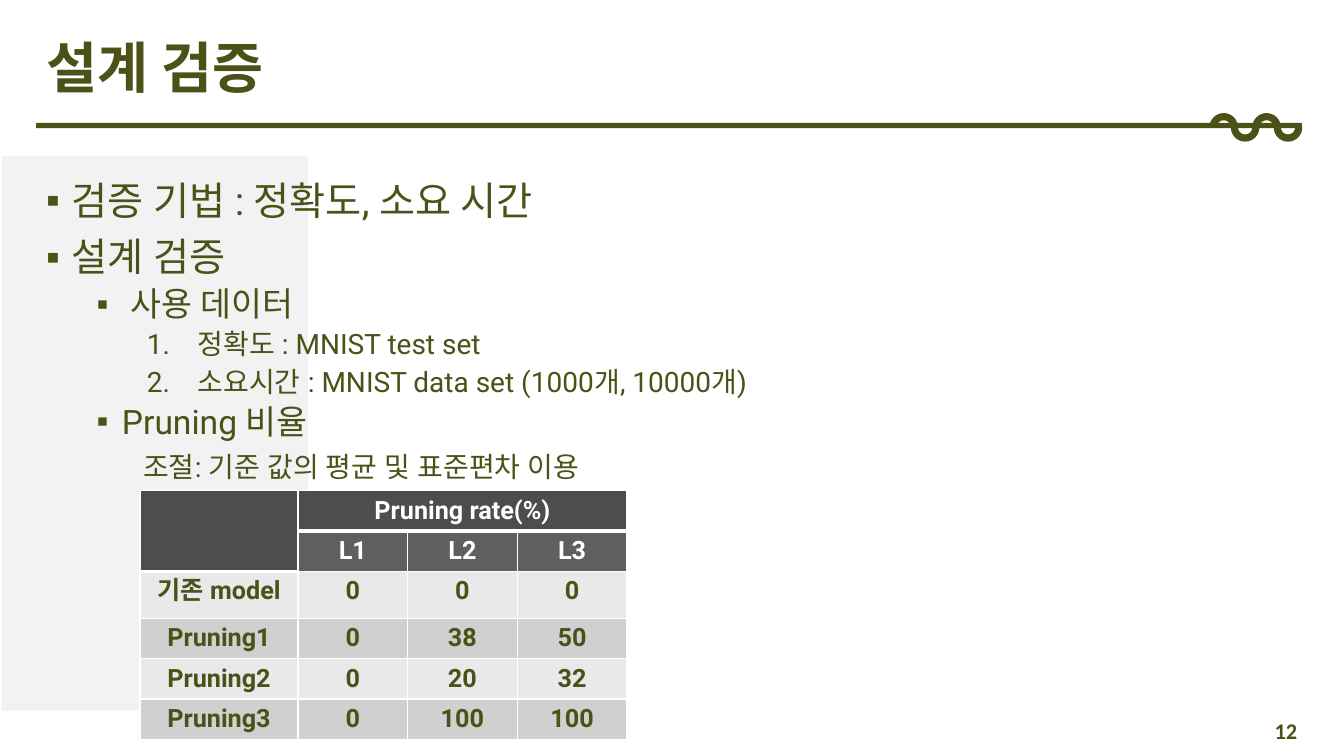
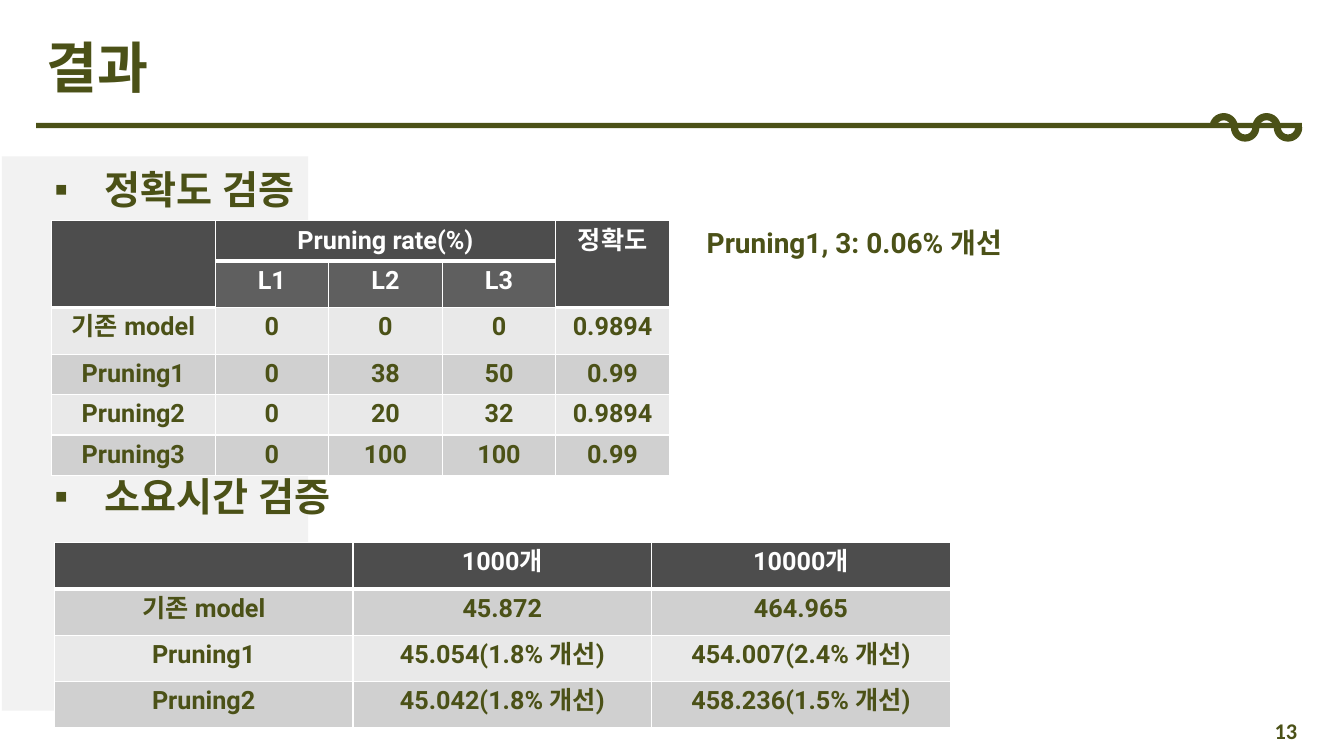
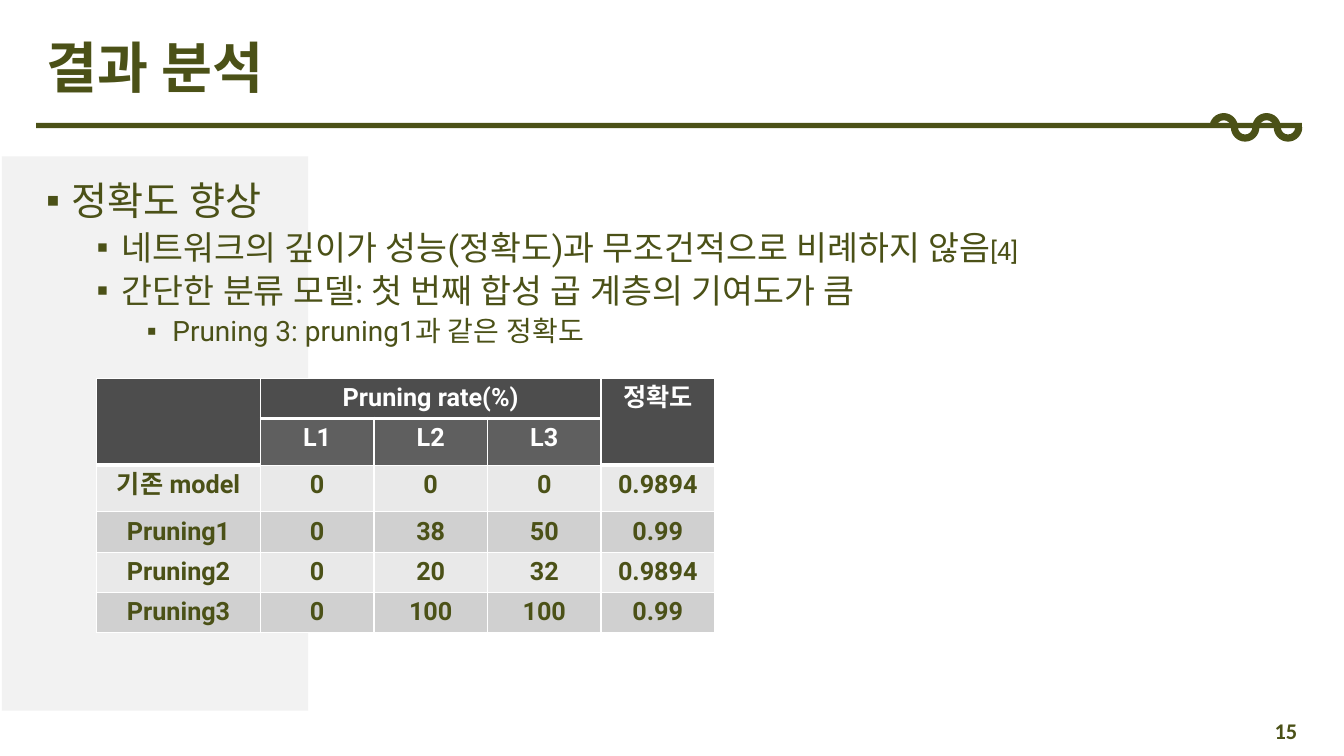
from dataclasses import dataclass
from math import pi, tan

from lxml import etree
from pptx import Presentation
from pptx.dml.color import RGBColor
from pptx.enum.shapes import MSO_SHAPE
from pptx.enum.text import MSO_ANCHOR, MSO_AUTO_SIZE, PP_ALIGN
from pptx.oxml.ns import qn
from pptx.util import Cm, Pt

RECTANGLE = MSO_SHAPE.RECTANGLE
MIDDLE = MSO_ANCHOR.MIDDLE
TOP = MSO_ANCHOR.TOP
NO_FIT = MSO_AUTO_SIZE.NONE
LEFT, CENTER, RIGHT = PP_ALIGN.LEFT, PP_ALIGN.CENTER, PP_ALIGN.RIGHT


@dataclass(frozen=True)
class Theme:
    olive: str = "4B5117"
    white: str = "FFFFFF"
    panel: str = "F2F2F2"
    header: str = "4D4D4D"
    subheader: str = "5F5F5F"
    light_row: str = "E9E9E9"
    dark_row: str = "D0D0D0"
    font: str = "Roboto"
    number_font: str = "Calibri"
    bullet_font: str = "Arial"
    title: float = 39.6
    heading: float = 28
    item: float = 24
    detail: float = 20
    table: float = 18
    number: float = 16


@dataclass(frozen=True)
class Box:
    left: float
    top: float
    width: float
    height: float

    def lengths(self):
        return Cm(self.left), Cm(self.top), Cm(self.width), Cm(self.height)


@dataclass(frozen=True)
class ListStyle:
    level: int
    size: float
    margin: float
    hanging: float
    before: float
    bullet: str


THEME = Theme()
TITLE_BOX = Box(0.91, 0.84, 31.9, 1.85)
BODY_BOX = Box(0.91, 4.45, 31.9, 12.8)
RULE_BOX = Box(0.91, 3.1, 31.9, 0.13)
PANEL_BOX = Box(0.05, 3.94, 7.72, 13.97)
WAVE_BOX = Box(30.48, 2.85, 2.34, 0.72)
NUMBER_BOX = Box(25.32, 17.91, 7.62, 1.02)
LABEL_SHARE = 1.44
TALL_SHARE = 1.18

HEADING = ListStyle(0, THEME.heading, 0.64, 0.64, 10, "▪")
ITEM = ListStyle(1, THEME.item, 1.91, 0.64, 5, "▪")
DETAIL = ListStyle(2, THEME.detail, 3.18, 0.64, 5, "▪")
NUMBERED = ListStyle(2, THEME.detail, 3.81, 1.27, 5, "number")
PLAIN = ListStyle(1, THEME.detail, 2.44, 0, 8.5, "")

RATES = [
    ["기존 model", "0", "0", "0"],
    ["Pruning1", "0", "38", "50"],
    ["Pruning2", "0", "20", "32"],
    ["Pruning3", "0", "100", "100"],
]
ACCURACIES = ["0.9894", "0.99", "0.9894", "0.99"]
TIMES = [
    ["", "1000개", "10000개"],
    ["기존 model", "45.872", "464.965"],
    ["Pruning1", "45.054(1.8% 개선)", "454.007(2.4% 개선)"],
    ["Pruning2", "45.042(1.8% 개선)", "458.236(1.5% 개선)"],
]


def color(value):
    return RGBColor.from_string(value)


def add_run(paragraph, text, size, bold=False, text_color=THEME.olive, font=THEME.font):
    run = paragraph.add_run()
    run.text = text
    run.font.name = font
    run.font.size = Pt(size)
    run.font.bold = bold
    run.font.color.rgb = color(text_color)
    etree.SubElement(run._r.get_or_add_rPr(), qn("a:ea"), typeface=font)


def set_bullet(paragraph, bullet, margin, hanging):
    properties = paragraph._p.get_or_add_pPr()
    properties.set("marL", str(Cm(margin)))
    properties.set("indent", str(-Cm(hanging)))
    if bullet == "number":
        etree.SubElement(properties, qn("a:buAutoNum"), type="arabicPeriod")
    elif bullet:
        etree.SubElement(properties, qn("a:buFont"), typeface=THEME.bullet_font)
        etree.SubElement(properties, qn("a:buChar"), char=bullet)
    else:
        etree.SubElement(properties, qn("a:buNone"))


def place(shape, box):
    shape.left, shape.top, shape.width, shape.height = box.lengths()


def paint(shape, fill):
    shape.shadow.inherit = False
    shape.fill.solid()
    shape.fill.fore_color.rgb = color(fill)
    shape.line.fill.background()


def add_bar(slide, box, fill):
    shape = slide.shapes.add_shape(RECTANGLE, *box.lengths())
    paint(shape, fill)
    return shape


def wave_edge(box, side, arcs=4):
    half = box.height / 8
    pitch = (box.width - 2 * half) / arcs
    middle = box.top + box.height / 2
    handle = 4 / 3 * tan(pi / 8)
    points = []
    for arc in range(arcs):
        direction = 1 if arc % 2 == 0 else -1
        radius = pitch / 2 + side * direction * half
        center = box.left + half + pitch * (arc + 0.5)
        offsets = [(-1, 0), (-1, handle), (-handle, 1), (0, 1),
                   (handle, 1), (1, handle), (1, 0)]
        for x, y in offsets[1:] if arc else offsets:
            points.append((Cm(center + radius * x),
                           Cm(middle - direction * radius * y)))
    return points


def bend(lines):
    for first in range(0, len(lines), 3):
        curve = etree.Element(qn("a:cubicBezTo"))
        lines[first].addprevious(curve)
        for line in lines[first:first + 3]:
            curve.append(line[0])
            line.getparent().remove(line)


def add_wave(slide, box):
    upper, lower = wave_edge(box, 1), wave_edge(box, -1)[::-1]
    builder = slide.shapes.build_freeform(*upper[0])
    builder.add_line_segments(upper[1:] + lower, close=True)
    shape = builder.convert_to_shape()
    lines = shape.element.xpath(".//a:lnTo")
    turn = len(upper) - 1
    bend(lines[:turn])
    bend(lines[turn + 1:turn + len(lower)])
    paint(shape, THEME.olive)
    return shape


def decorate_master(presentation, slide):
    tree = presentation.slide_master.shapes.element
    shapes = [
        add_bar(slide, RULE_BOX, THEME.olive),
        add_bar(slide, PANEL_BOX, THEME.panel),
        add_wave(slide, WAVE_BOX),
    ]
    for index, shape in enumerate(shapes):
        shape.element.xpath(".//p:cNvPr")[0].set("id", str(101 + index))
        tree.insert(2 + index, shape.element)


def add_text_box(slide, box, wrap=True, inset=0.0):
    frame = slide.shapes.add_textbox(*box.lengths()).text_frame
    frame.word_wrap = wrap
    frame.margin_left = frame.margin_right = Cm(inset)
    frame.margin_top = frame.margin_bottom = Cm(inset / 2)
    return frame


def add_title(slide, box, text):
    title = slide.shapes.title
    place(title, box)
    frame = title.text_frame
    frame.auto_size = NO_FIT
    frame.vertical_anchor = MIDDLE
    paragraph = frame.paragraphs[0]
    paragraph.alignment = LEFT
    paragraph.line_spacing = 0.9
    add_run(paragraph, text, THEME.title, bold=True)


def add_number(slide, box, number):
    frame = add_text_box(slide, box, inset=0.25)
    frame.vertical_anchor = MIDDLE
    paragraph = frame.paragraphs[0]
    paragraph.alignment = RIGHT
    add_run(paragraph, number, THEME.number, bold=True, font=THEME.number_font)


def add_body(slide, box, items):
    body = slide.placeholders[1]
    place(body, box)
    frame = body.text_frame
    frame.auto_size = NO_FIT
    frame.vertical_anchor = TOP
    for index, (style, *runs) in enumerate(items):
        paragraph = frame.add_paragraph() if index else frame.paragraphs[0]
        paragraph.level = style.level
        paragraph.line_spacing = 0.9
        paragraph.space_before = Pt(style.before)
        set_bullet(paragraph, style.bullet, style.margin, style.hanging)
        for position, text in enumerate(runs):
            add_run(paragraph, text, THEME.table if position else style.size)


def add_section_label(slide, box, text):
    paragraph = add_text_box(slide, box, wrap=False).paragraphs[0]
    properties = paragraph._p.get_or_add_pPr()
    bullet_color = etree.SubElement(properties, qn("a:buClr"))
    etree.SubElement(bullet_color, qn("a:srgbClr"), val=THEME.olive)
    set_bullet(paragraph, "▪", 1.27, 1.27)
    add_run(paragraph, text, THEME.heading, bold=True)


def add_note(slide, box, text):
    paragraph = add_text_box(slide, box).paragraphs[0]
    add_run(paragraph, text, THEME.detail, bold=True)


def set_borders(cell, bottom):
    properties = cell._tc.get_or_add_tcPr()
    widths = {"a:lnL": 1, "a:lnR": 1, "a:lnT": 1, "a:lnB": bottom}
    for index, (tag, width) in enumerate(widths.items()):
        line = etree.Element(qn(tag), w=str(Pt(width)))
        fill = etree.SubElement(line, qn("a:solidFill"))
        etree.SubElement(fill, qn("a:srgbClr"), val=THEME.white)
        properties.insert(index, line)


def add_table(slide, box, rows, row_fills, row_shares, label_share=1.0, header_rows=1):
    columns = len(rows[0])
    frame = slide.shapes.add_table(len(rows), columns, *box.lengths())
    table = frame.table
    table.first_row = table.horz_banding = False
    unit = box.width / (columns - 1 + label_share)
    for index, column in enumerate(table.columns):
        column.width = Cm(unit * (1 if index else label_share))
    for row, share in zip(table.rows, row_shares):
        row.height = Cm(box.height * share / sum(row_shares))
    for row_index, texts in enumerate(rows):
        in_header = row_index < header_rows
        for column_index, text in enumerate(texts):
            cell = table.cell(row_index, column_index)
            cell.fill.solid()
            cell.fill.fore_color.rgb = color(row_fills[row_index])
            set_borders(cell, 1 if row_index else 3)
            if text:
                paragraph = cell.text_frame.paragraphs[0]
                paragraph.alignment = CENTER
                text_color = THEME.white if in_header else THEME.olive
                add_run(paragraph, text, THEME.table, True, text_color)
    return table


def add_rate_table(slide, box, with_accuracy):
    rows = [["", "Pruning rate(%)", "", ""], ["", "L1", "L2", "L3"]] + RATES
    if with_accuracy:
        extra = ["정확도", ""] + ACCURACIES
        rows = [row + [text] for row, text in zip(rows, extra)]
    fills = [THEME.header, THEME.subheader] + [THEME.light_row, THEME.dark_row] * 2
    shares = [1, TALL_SHARE if with_accuracy else 1, TALL_SHARE, 1, 1, 1]
    table = add_table(slide, box, rows, fills, shares, LABEL_SHARE, header_rows=2)
    table.cell(0, 1).merge(table.cell(0, 3))
    for column in [0, 4] if with_accuracy else [0]:
        table.cell(0, column).merge(table.cell(1, column))


def add_time_table(slide, box):
    fills = [THEME.header, THEME.dark_row, THEME.light_row, THEME.dark_row]
    add_table(slide, box, TIMES, fills, [1] * len(TIMES))


def add_page(presentation, layout, title, number):
    slide = presentation.slides.add_slide(presentation.slide_layouts[layout])
    add_title(slide, TITLE_BOX, title)
    add_number(slide, NUMBER_BOX, number)
    return slide


def add_list_page(presentation, title, number, items, table_box, with_accuracy):
    slide = add_page(presentation, 1, title, number)
    add_body(slide, BODY_BOX, items)
    add_rate_table(slide, table_box, with_accuracy)
    return slide


def add_result_page(presentation):
    slide = add_page(presentation, 5, "결과", "13")
    add_rate_table(slide, Box(1.3, 5.56, 15.57, 6.33), True)
    add_time_table(slide, Box(1.37, 13.67, 22.58, 4.67))
    add_section_label(slide, Box(1.37, 4.17, 6.12, 1.19), "정확도 검증")
    add_section_label(slide, Box(1.37, 11.91, 7.04, 1.19), "소요시간 검증")
    add_note(slide, Box(17.81, 5.69, 9.73, 0.86), "Pruning1, 3: 0.06% 개선")


def main():
    presentation = Presentation()
    presentation.slide_width = Cm(33.87)
    presentation.slide_height = Cm(19.05)
    verification = [
        (HEADING, "검증 기법 : 정확도, 소요 시간"),
        (HEADING, "설계 검증"),
        (ITEM, " 사용 데이터"),
        (NUMBERED, "정확도 : MNIST test set"),
        (NUMBERED, "소요시간 : MNIST data set (1000개, 10000개)"),
        (ITEM, "Pruning 비율"),
        (PLAIN, "조절: 기준 값의 평균 및 표준편차 이용"),
    ]
    analysis = [
        (HEADING, "정확도 향상"),
        (ITEM, "네트워크의 깊이가 성능(정확도)과 무조건적으로 비례하지 않음", "[4]"),
        (ITEM, "간단한 분류 모델: 첫 번째 합성 곱 계층의 기여도가 큼"),
        (DETAIL, "Pruning 3: pruning1과 같은 정확도"),
    ]
    first = add_list_page(presentation, "설계 검증", "12", verification,
                          Box(3.53, 12.37, 12.27, 6.17), False)
    decorate_master(presentation, first)
    add_result_page(presentation)
    add_list_page(presentation, "결과 분석", "15", analysis,
                  Box(2.44, 9.53, 15.57, 6.33), True)
    presentation.save("out.pptx")


if __name__ == "__main__":
    main()
